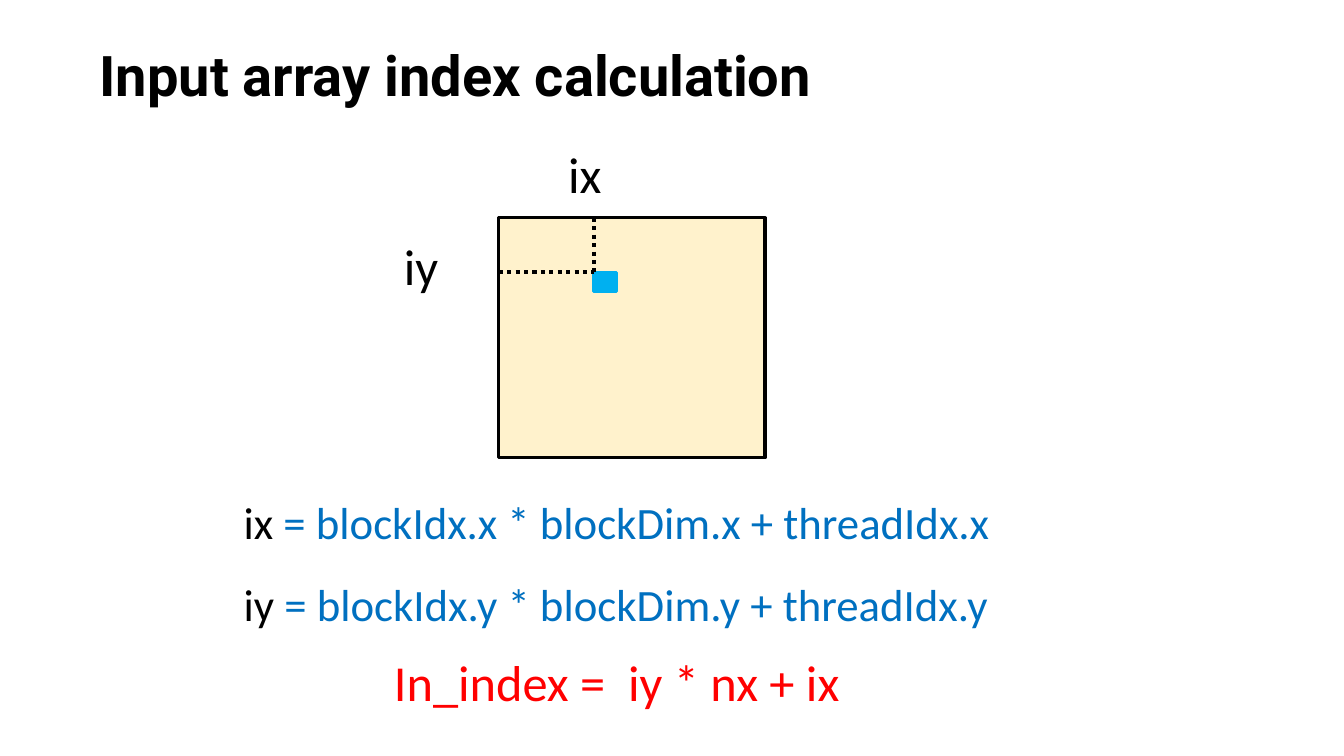
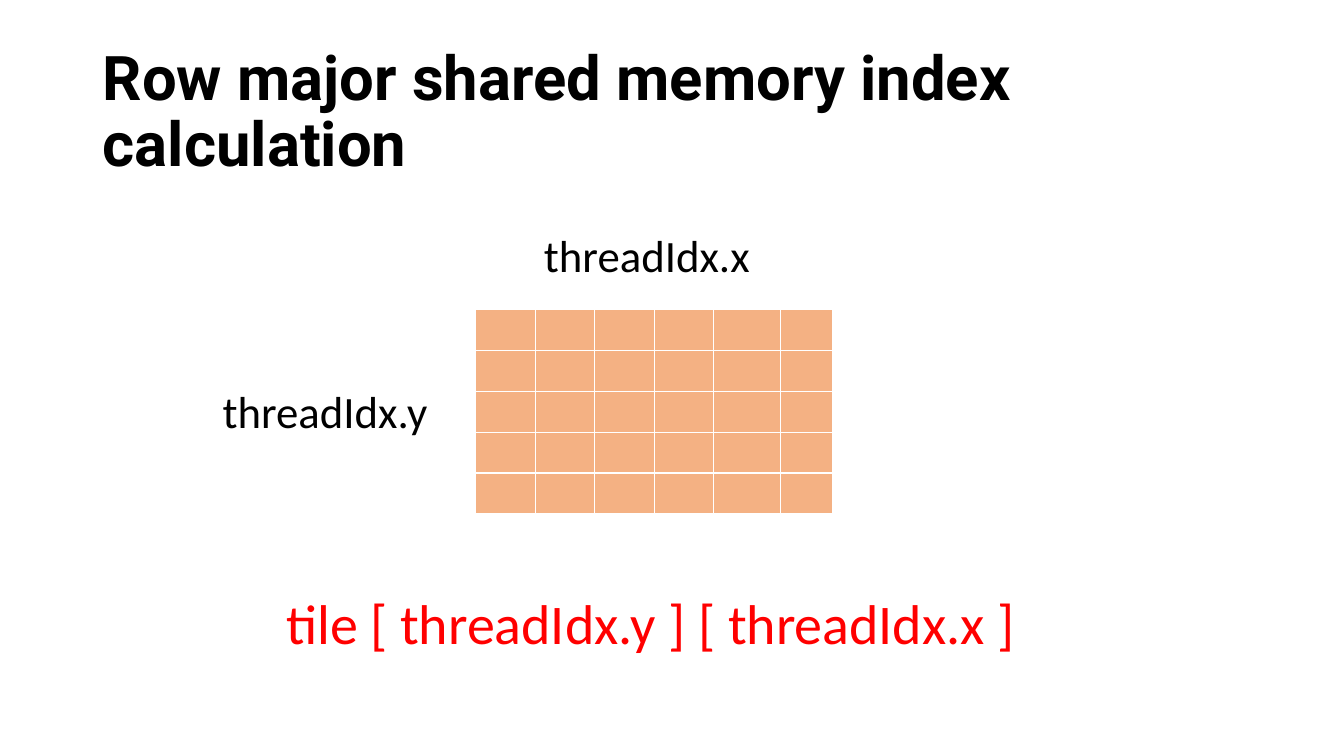
"""Builds two slides on array index calculation."""
from pptx import Presentation
from pptx.dml.color import RGBColor
from pptx.enum.dml import MSO_LINE_DASH_STYLE as Dash
from pptx.enum.shapes import MSO_CONNECTOR as Connector, MSO_SHAPE as Shape
from pptx.enum.text import MSO_ANCHOR as Anchor
from pptx.oxml.ns import qn
from pptx.util import Cm, Pt
from lxml.etree import SubElement

BLACK, BLUE, RED = "000000", "0070C0", "FF0000"
CREAM, SKY, ORANGE = "FFF2CC", "00B0F0", "F4B183"
TITLE = dict(font="Roboto", bold=True)

ARRAY = (12.57, 5.49, 6.71, 6.05)
ELEMENT = (14.96, 6.86, 0.58, 0.48)
AXIS_LABELS = [("ix", 14.07, 3.48), ("iy", 9.93, 5.79)]
FORMULAS = [
    ("ix", " = blockIdx.x * blockDim.x + threadIdx.x"),
    ("iy", " = blockIdx.y * blockDim.y + threadIdx.y"),
]
FORMULA_TOP, FORMULA_STEP = 12.34, 2.06

THREAD_LABELS = [("threadIdx.x", 13.46, 5.61), ("threadIdx.y", 5.36, 9.55)]
TILE_LEFT, TILE_TOP = 11.99, 7.8
TILE_COLUMNS = [1.5] * 4 + [1.68, 1.3]
TILE_ROWS = [1.03] * 5


def color(value):
    return RGBColor.from_string(value)


def add_text(page, text, place, size=32, ink=BLACK, font="Calibri", bold=False,
             anchor=Anchor.TOP, spacing=None):
    box = page.shapes.add_textbox(*map(Cm, place))
    frame = box.text_frame
    frame.word_wrap = True
    frame.vertical_anchor = anchor
    para = frame.paragraphs[0]
    if spacing:
        para.line_spacing = spacing
    parts = [(text, ink)] if isinstance(text, str) else text
    for words, shade in parts:
        span = para.add_run()
        span.text = words
        span.font.name = font
        span.font.size = Pt(size)
        span.font.bold = bold
        span.font.color.rgb = color(shade)


def add_rectangle(page, place, fill, line):
    box = page.shapes.add_shape(Shape.RECTANGLE, *map(Cm, place))
    box.shadow.inherit = False
    box.fill.solid()
    box.fill.fore_color.rgb = color(fill)
    box.line.color.rgb = color(line)
    box.line.width = Pt(2.25)


def add_dotted_line(page, *ends):
    line = page.shapes.add_connector(Connector.STRAIGHT, *map(Cm, ends))
    line.line.color.rgb = color(BLACK)
    line.line.width = Pt(3)
    line.line.dash_style = Dash.ROUND_DOT
    SubElement(line._element.spPr, qn("a:effectLst"))


def add_tile(page):
    table = page.shapes.add_table(
        len(TILE_ROWS), len(TILE_COLUMNS), Cm(TILE_LEFT), Cm(TILE_TOP),
        Cm(sum(TILE_COLUMNS)), Cm(sum(TILE_ROWS))).table
    for column, width in zip(table.columns, TILE_COLUMNS):
        column.width = Cm(width)
    for row, height in zip(table.rows, TILE_ROWS):
        row.height = Cm(height)
    for cell in table.iter_cells():
        cell.fill.solid()
        cell.fill.fore_color.rgb = color(ORANGE)


def build_input_page(page):
    add_text(page, "Input array index calculation", (2.26, 0.89, 22.35, 1.96), size=40, **TITLE)
    add_rectangle(page, ARRAY, CREAM, BLACK)
    add_rectangle(page, ELEMENT, SKY, SKY)
    left, top = ARRAY[:2]
    x, y = ELEMENT[:2]
    add_dotted_line(page, x, top, x, y)
    add_dotted_line(page, left, y, x, y)
    for label, label_left, label_top in AXIS_LABELS:
        add_text(page, label, (label_left, label_top, 2.9, 1.8), size=36)
    for number, (name, value) in enumerate(FORMULAS):
        add_text(page, [(name, BLACK), (value, BLUE)],
                 (5.89, FORMULA_TOP + number * FORMULA_STEP, 22.94, 1.63))
    add_text(page, "In_index =  iy * nx + ix", (9.68, 16.28, 16.94, 1.8), size=36, ink=RED)


def build_tile_page(page):
    add_text(page, "Row major shared memory index calculation", (2.34, 1.02, 29.21, 3.68),
             size=44, anchor=Anchor.MIDDLE, spacing=0.9, **TITLE)
    add_tile(page)
    for label, left, top in THREAD_LABELS:
        add_text(page, label, (left, top, 6.63, 1.63))
    add_text(page, "tile [ threadIdx.y ] [ threadIdx.x ]", (6.96, 14.71, 22.86, 1.96),
             size=40, ink=RED)


def main():
    deck = Presentation()
    deck.slide_width, deck.slide_height = Cm(33.87), Cm(19.05)
    for build in (build_input_page, build_tile_page):
        build(deck.slides.add_slide(deck.slide_layouts[6]))
    deck.save("out.pptx")


if __name__ == "__main__":
    main()
